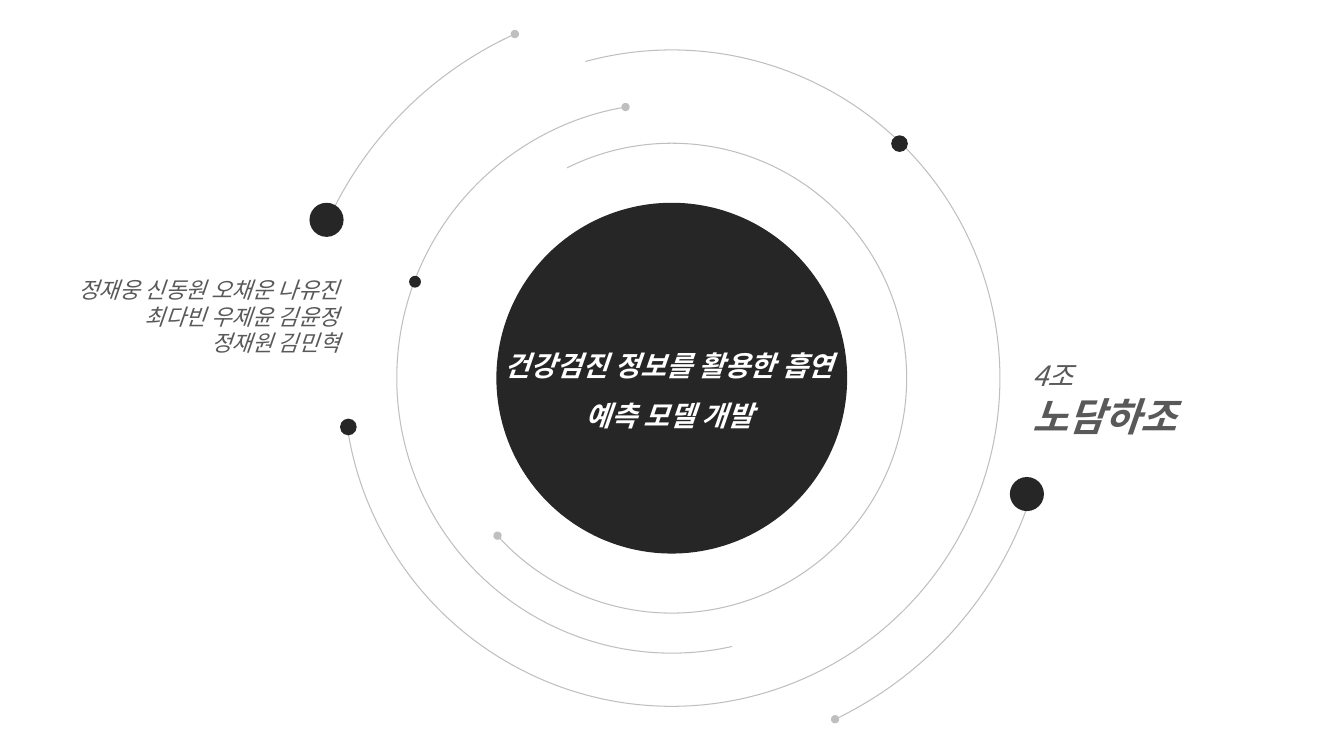
from dataclasses import dataclass
from typing import NamedTuple

from lxml import etree
from pptx import Presentation
from pptx.dml.color import RGBColor
from pptx.enum.shapes import MSO_SHAPE
from pptx.enum.text import MSO_ANCHOR, PP_ALIGN
from pptx.oxml.ns import qn
from pptx.util import Cm, Pt

CIRCLE, ARC = MSO_SHAPE.OVAL, MSO_SHAPE.ARC
TOP, MIDDLE = MSO_ANCHOR.TOP, MSO_ANCHOR.MIDDLE
LEFT, CENTER, RIGHT = PP_ALIGN.LEFT, PP_ALIGN.CENTER, PP_ALIGN.RIGHT

INK = RGBColor(0x26, 0x26, 0x26)
ORBIT_GRAY = RGBColor(0xBF, 0xBF, 0xBF)
TEXT_GRAY = RGBColor(0x59, 0x59, 0x59)
WHITE = RGBColor(0xFF, 0xFF, 0xFF)

FONT = "Noto Sans CJK KR"
SLIDE_W, SLIDE_H = 33.87, 19.05
CENTER_X, CENTER_Y = 16.93, 9.53
ADJUSTMENT_PER_DEGREE = 0.6  # 60000 angle units per degree, in steps of 100000


class Disc(NamedTuple):
    """A filled circle: centre and radius in cm."""
    x: float
    y: float
    radius: float


class Orbit(NamedTuple):
    """An arc round the slide centre: radius in cm, clockwise angles in degrees."""
    radius: float
    start: float
    end: float


class Line(NamedTuple):
    """One paragraph with its size in points and weight."""
    text: str
    size: float
    bold: bool = False


@dataclass
class Caption:
    """A text block: box and margins (left, top, right, bottom) in cm."""
    left: float
    top: float
    width: float
    height: float
    lines: list[Line]
    color: RGBColor
    align: PP_ALIGN
    anchor: MSO_ANCHOR = MIDDLE
    margins: tuple[float, float, float, float] = (0, 0, 0, 0)
    spacing: float = 1.0


TITLE_DISC = Disc(CENTER_X, CENTER_Y, 4.42)
ORBITS = [
    Orbit(5.92, 243.54, 137.88),
    Orbit(6.93, 77.31, 260.32),
    Orbit(8.27, 254.74, 171.62),
    Orbit(9.53, 18.97, 64.41),
    Orbit(9.53, 203.74, 245.49),
]
PLANETS = [
    Disc(25.88, 12.45, 0.43),
    Disc(8.23, 5.54, 0.43),
    Disc(8.78, 10.76, 0.21),
    Disc(10.46, 7.1, 0.15),
    Disc(22.67, 3.62, 0.21),
]
TITLE = Caption(
    12.45, 8.23, 8.84, 2.67,
    [Line("건강검진 정보를 활용한 흡연 예측 모델 개발", 20, True)],
    WHITE, CENTER, TOP, (0.25, 0.13, 0.25, 0.13), 1.5)
MEMBERS = Caption(
    0.71, 6.58, 7.85, 3.23,
    [Line("정재웅 신동원 오채운 나유진", 16),
     Line("최다빈 우제윤 김윤정", 16),
     Line("정재원 김민혁", 16)],
    TEXT_GRAY, RIGHT, margins=(0, 0, 0, 0.46))
TEAM = Caption(
    26.01, 8.43, 7.85, 3.23,
    [Line("4조", 20), Line("노담하조", 28, True)],
    TEXT_GRAY, LEFT)


def add_round(slide, preset, x: float, y: float, radius: float):
    """Add a shape of the given preset centred on x, y, without a shadow."""
    shape = slide.shapes.add_shape(
        preset, Cm(x - radius), Cm(y - radius), Cm(2 * radius), Cm(2 * radius))
    shape.shadow.inherit = False
    return shape


def add_disc(slide, disc: Disc) -> None:
    """Draw a dark circle without an outline."""
    circle = add_round(slide, CIRCLE, *disc)
    circle.fill.solid()
    circle.fill.fore_color.rgb = INK
    circle.line.fill.background()


def add_orbit(slide, orbit: Orbit) -> None:
    """Draw a thin arc that ends in a small dot."""
    arc = add_round(slide, ARC, CENTER_X, CENTER_Y, orbit.radius)
    for index, angle in enumerate((orbit.start, orbit.end)):
        arc.adjustments[index] = angle * ADJUSTMENT_PER_DEGREE
    arc.fill.background()
    arc.line.color.rgb = ORBIT_GRAY
    arc.line.width = Pt(0.75)
    outline = arc.line._get_or_add_ln()
    etree.SubElement(outline, qn("a:tailEnd"), type="oval")


def apply_format(target, values: dict) -> None:
    """Set each named attribute of the target."""
    for name, value in values.items():
        setattr(target, name, value)


def add_caption(slide, caption: Caption) -> None:
    """Write a block of italic lines."""
    box = slide.shapes.add_textbox(
        Cm(caption.left), Cm(caption.top), Cm(caption.width), Cm(caption.height))
    frame = box.text_frame
    sides = ("margin_left", "margin_top", "margin_right", "margin_bottom")
    apply_format(frame, {"word_wrap": True, "vertical_anchor": caption.anchor})
    apply_format(frame, dict(zip(sides, map(Cm, caption.margins))))
    for index, line in enumerate(caption.lines):
        paragraph = frame.add_paragraph() if index else frame.paragraphs[0]
        apply_format(paragraph, {
            "alignment": caption.align, "line_spacing": caption.spacing})
        run = paragraph.add_run()
        run.text = line.text
        apply_format(run.font, {
            "name": FONT, "size": Pt(line.size), "bold": line.bold, "italic": True})
        run.font.color.rgb = caption.color
        properties = run._r.get_or_add_rPr()
        etree.SubElement(properties, qn("a:ea"), typeface=FONT)


def main() -> None:
    """Build the title slide and save it."""
    deck = Presentation()
    deck.slide_width, deck.slide_height = Cm(SLIDE_W), Cm(SLIDE_H)
    slide = deck.slides.add_slide(deck.slide_layouts[6])
    add_disc(slide, TITLE_DISC)
    add_caption(slide, TITLE)
    for orbit in ORBITS:
        add_orbit(slide, orbit)
    for planet in PLANETS:
        add_disc(slide, planet)
    for caption in (MEMBERS, TEAM):
        add_caption(slide, caption)
    deck.save("out.pptx")


main()
